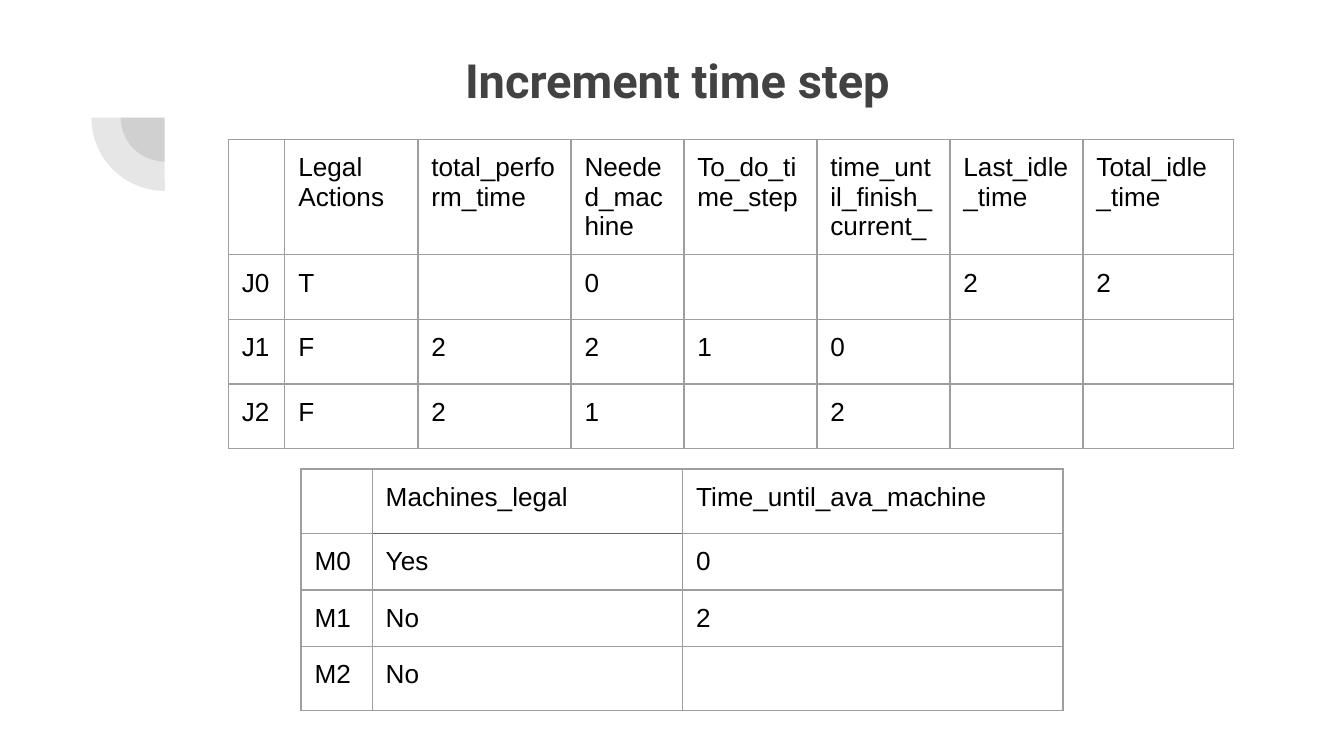
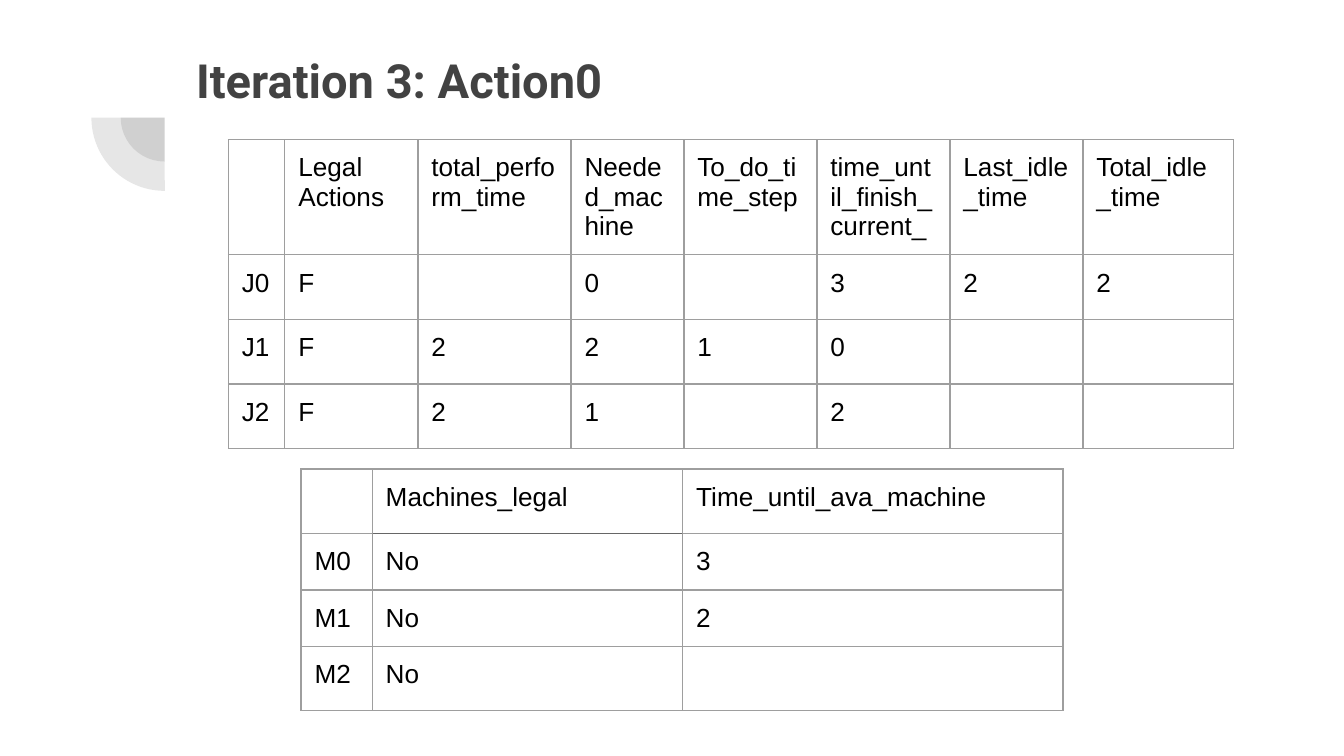
import lxml.etree
import pptx
import pptx.dml.color
import pptx.enum.shapes
import pptx.enum.text
import pptx.oxml.ns
import pptx.util

Inches = pptx.util.Inches
Pt = pptx.util.Pt
RGBColor = pptx.dml.color.RGBColor
qn = pptx.oxml.ns.qn

CHARCOAL = RGBColor(0x42, 0x42, 0x42)
BLACK = RGBColor(0, 0, 0)
GRID_GRAY = RGBColor(0x9E, 0x9E, 0x9E)
SOFT_GRAY = RGBColor(0x99, 0x99, 0x99)
DARK_GRAY = RGBColor(0x66, 0x66, 0x66)

TITLE_FONT, TABLE_FONT = "Roboto", "Arial"
INSET = 0.1

# Boxes: left, top, width, height
TITLE_BOX = (1.36, 0.28, 7.69, 0.58)
ORNAMENT_BOX = (0.68, 0.33, 1.09, 1.09)
JOBS_BOX = (1.7, 1.04, 7.48, 1.93)
MACHINES_BOX = (2.24, 3.49, 5.67, 1.6)

# Row heights are minimums; rows grow to hold their text
JOBS_COLUMNS = (0.42, 0.99, 1.14, 0.84, 0.99, 0.99, 0.99, 1.12)
JOBS_ROWS = (0.79, 0.48, 0.34, 0.32)
JOBS_HEADER = ("", "Legal Actions", "total_perform_time", "Needed_machine",
               "To_do_time_step", "time_until_finish_current_",
               "Last_idle_time", "Total_idle_time")
JOBS_WAITING = (("J1", "F", "2", "2", "1", "0", "", ""),
                ("J2", "F", "2", "1", "", "2", "", ""))

MACHINES_COLUMNS = (0.53, 2.31, 2.83)
MACHINES_ROWS = (0.4,) * 4
MACHINES_HEADER = ("", "Machines_legal", "Time_until_ava_machine")
MACHINES_BUSY = (("M1", "No", "2"), ("M2", "No", ""))

# Border colours around the first machine's legality, by row, column, side
MACHINES_EDGES = {
    (1, 1, "L"): SOFT_GRAY, (1, 1, "R"): SOFT_GRAY,
    (1, 1, "T"): DARK_GRAY, (1, 1, "B"): SOFT_GRAY,
    (1, 0, "R"): SOFT_GRAY, (1, 2, "L"): SOFT_GRAY,
    (0, 1, "B"): DARK_GRAY, (2, 1, "T"): SOFT_GRAY,
}

# Title, title indents (margin, first line), first job, first machine
STEPS = (
    ("Increment time step", (1.5, 0.5),
     ("J0", "T", "", "0", "", "", "2", "2"), ("M0", "Yes", "0")),
    ("Iteration 3: Action0", (0, 0),
     ("J0", "F", "", "0", "", "3", "2", "2"), ("M0", "No", "3")),
)


def add_span(para, text, font, size, color, bold=False):
    span = para.add_run()
    span.text = text
    span.font.name = font
    span.font.size = Pt(size)
    span.font.bold = bold
    span.font.color.rgb = color


def set_empty_font(para, font, size):
    """Font that sets the line height of a paragraph without text."""
    ending = lxml.etree.SubElement(para._p, qn("a:endParaRPr"),
                                   sz=str(size * 100))
    lxml.etree.SubElement(ending, qn("a:latin"), typeface=font)


def set_insets(holder):
    for side in ("left", "top", "right", "bottom"):
        setattr(holder, f"margin_{side}", Inches(INSET))


def add_ornament(page, box):
    """Two translucent quarter discs sharing one centre."""
    left, top, width, height = box
    for scale in (0.6, 1):
        disc = page.shapes.add_shape(
            pptx.enum.shapes.MSO_SHAPE.PIE,
            Inches(left + width * (1 - scale) / 2),
            Inches(top + height * (1 - scale) / 2),
            Inches(width * scale), Inches(height * scale))
        disc.adjustments[0], disc.adjustments[1] = 107.93, 162
        disc.rotation = 270
        disc.shadow.inherit = False
        disc.line.fill.background()
        disc.fill.solid()
        disc.fill.fore_color.rgb = CHARCOAL
        color = disc.fill._xPr.find(".//" + qn("a:srgbClr"))
        lxml.etree.SubElement(color, qn("a:alpha"), val="13000")


def add_title(page, box, text, indents):
    title = page.shapes.title
    title.left, title.top, title.width, title.height = map(Inches, box)
    frame = title.text_frame
    frame.word_wrap = True
    frame.auto_size = pptx.enum.text.MSO_AUTO_SIZE.NONE
    frame.vertical_anchor = pptx.enum.text.MSO_ANCHOR.TOP
    set_insets(frame)
    para = frame.paragraphs[0]
    para.alignment = pptx.enum.text.PP_ALIGN.LEFT
    margin, first_line = indents
    properties = para._p.get_or_add_pPr()
    properties.set("marL", str(Inches(margin)))
    properties.set("indent", str(Inches(first_line)))
    add_span(para, text, TITLE_FONT, 25.2, CHARCOAL, bold=True)


def add_border(cell, side, color):
    line = lxml.etree.SubElement(cell._tc.get_or_add_tcPr(),
                                 qn(f"a:ln{side}"), w=str(Pt(0.75)))
    fill = lxml.etree.SubElement(line, qn("a:solidFill"))
    lxml.etree.SubElement(fill, qn("a:srgbClr"), val=str(color))


def add_grid(page, box, columns, heights, rows, edges):
    """A plain ruled table; edges overrides single border colours."""
    table = page.shapes.add_table(len(rows), len(columns),
                                  *map(Inches, box)).table
    table.first_row = table.horz_banding = False
    for column, width in zip(table.columns, columns):
        column.width = Inches(width)
    for row, height in zip(table.rows, heights):
        row.height = Inches(height)
    for r, texts in enumerate(rows):
        for c, text in enumerate(texts):
            cell = table.cell(r, c)
            set_insets(cell)
            for side in "LRTB":
                add_border(cell, side, edges.get((r, c, side), GRID_GRAY))
            cell.fill.background()
            para = cell.text_frame.paragraphs[0]
            if text:
                add_span(para, text, TABLE_FONT, 14, BLACK)
            else:
                set_empty_font(para, TABLE_FONT, 18)


def add_step_page(deck, title, indents, first_job, first_machine):
    page = deck.slides.add_slide(deck.slide_layouts[5])
    add_ornament(page, ORNAMENT_BOX)
    add_grid(page, JOBS_BOX, JOBS_COLUMNS, JOBS_ROWS,
             (JOBS_HEADER, first_job, *JOBS_WAITING), {})
    add_title(page, TITLE_BOX, title, indents)
    add_grid(page, MACHINES_BOX, MACHINES_COLUMNS, MACHINES_ROWS,
             (MACHINES_HEADER, first_machine, *MACHINES_BUSY), MACHINES_EDGES)


def main():
    deck = pptx.Presentation()
    # Widescreen, 16 to 9
    deck.slide_width = Inches(10)
    deck.slide_height = deck.slide_width * 9 // 16
    for step in STEPS:
        add_step_page(deck, *step)
    deck.save("out.pptx")


if __name__ == "__main__":
    main()
